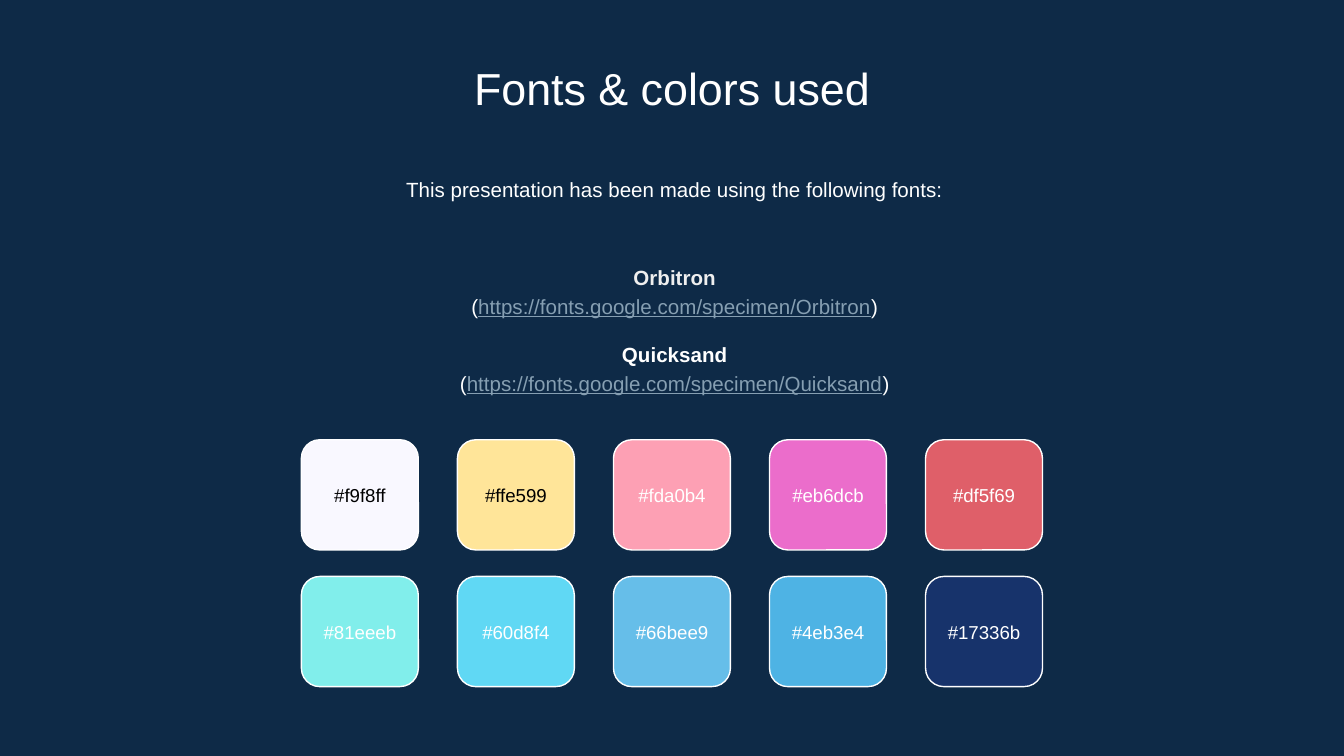
"""Build a slide that lists the fonts and colours of a presentation."""
from pptx import Presentation
from pptx.dml.color import RGBColor
from pptx.enum.shapes import MSO_SHAPE
from pptx.enum.text import MSO_ANCHOR, PP_ALIGN
from pptx.util import Inches, Pt

ROUND = MSO_SHAPE.ROUNDED_RECTANGLE
TOP, MIDDLE = MSO_ANCHOR.TOP, MSO_ANCHOR.MIDDLE
CENTER = PP_ALIGN.CENTER
FONT = "Arial"
COLS, ROWS = 100, 56.25
HEX = {"back": "0E2A47", "white": "FFFFFF", "black": "000000",
       "pale": "EFEFEF", "link": "869FB2"}
FACES = [("Orbitron", "pale"), ("Quicksand", "white")]
SITE = "https://fonts.google.com/specimen/"
SWATCHES = [
    ["f9f8ff", "ffe599", "fda0b4", "eb6dcb", "df5f69"],
    ["81eeeb", "60d8f4", "66bee9", "4eb3e4", "17336b"],
]
DARK = {"f9f8ff", "ffe599"}


def grid(*cells):
    """Turn grid cells of a tenth of an inch into lengths."""
    return [Inches(cell / 10) for cell in cells]


def color(name):
    """Give the named colour."""
    return RGBColor.from_string(HEX[name])


def frame(slide, cells, anchor=TOP):
    """Add a text box and return its text frame."""
    text = slide.shapes.add_textbox(*grid(*cells)).text_frame
    text.word_wrap = True
    text.vertical_anchor = anchor
    text.margin_left = text.margin_right = Inches(0.1)
    text.margin_top = text.margin_bottom = Inches(0.1)
    return text


def style(para, size, ink="white", bold=False, lead=1.0):
    """Set the look of a whole paragraph."""
    para.alignment = CENTER
    para.line_spacing = lead
    para.font.name = FONT
    para.font.size = Pt(size)
    para.font.bold = bold
    para.font.color.rgb = color(ink)


def label(slide, cells, words, size, ink="white", anchor=TOP, lead=1.0):
    """Add a text box of one paragraph."""
    para = frame(slide, cells, anchor).paragraphs[0]
    para.add_run().text = words
    style(para, size, ink, lead=lead)


def faces(slide, cells):
    """List each font with its address below it."""
    text = frame(slide, cells, MIDDLE)
    for pos, (name, ink) in enumerate(FACES):
        head = text.add_paragraph() if pos else text.paragraphs[0]
        head.add_run().text = name
        style(head, 11, ink, bold=True, lead=1.15)
        if pos:
            head.space_before = Pt(11)
        line = text.add_paragraph()
        for part in ("(", SITE + name, ")"):
            run = line.add_run()
            run.text = part
            if part.startswith(SITE):
                run.font.underline = True
                run.font.color.rgb = color("link")
        style(line, 11, lead=1.15)


def swatch(slide, left, top, code):
    """Add a rounded colour tile with its code."""
    tile = slide.shapes.add_shape(ROUND, *grid(left, top, 8.7, 8.2))
    tile.shadow.inherit = False
    tile.fill.solid()
    tile.fill.fore_color.rgb = RGBColor.from_string(code.upper())
    tile.line.color.rgb = color("white")
    tile.line.width = Pt(0.75)
    ink = "black" if code in DARK else "white"
    label(slide, (left, top + 1.7, 8.7, 4.8), "#" + code, 10, ink, MIDDLE)


def main():
    """Build and save the slide."""
    deck = Presentation()
    deck.slide_width, deck.slide_height = grid(COLS, ROWS)
    slide = deck.slides.add_slide(deck.slide_layouts[6])
    slide.background.fill.solid()
    slide.background.fill.fore_color.rgb = color("back")
    label(slide, (11.45, 3.5, 77.1, 5.3), "Fonts & colors used", 24)
    label(slide, (11.65, 11.9, 77.1, 4.8),
          "This presentation has been made using the following fonts:",
          11, lead=1.15)
    faces(slide, (11.65, 17.6, 77.1, 13.7))
    for row, codes in enumerate(SWATCHES):
        for col, code in enumerate(codes):
            swatch(slide, 22.43 + 11.61 * col, 32.72 + 10.17 * row, code)
    deck.save("out.pptx")


if __name__ == "__main__":
    main()
